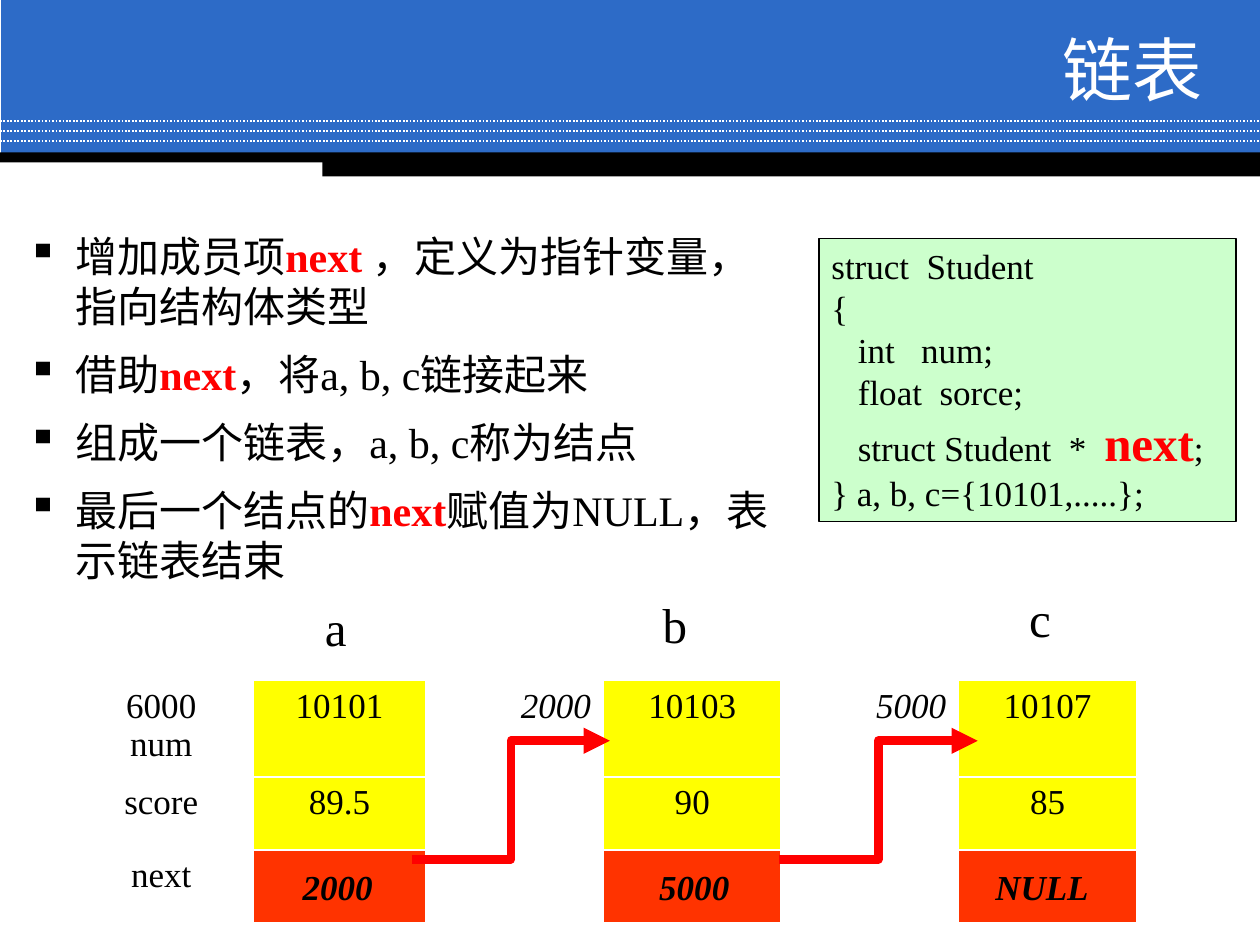
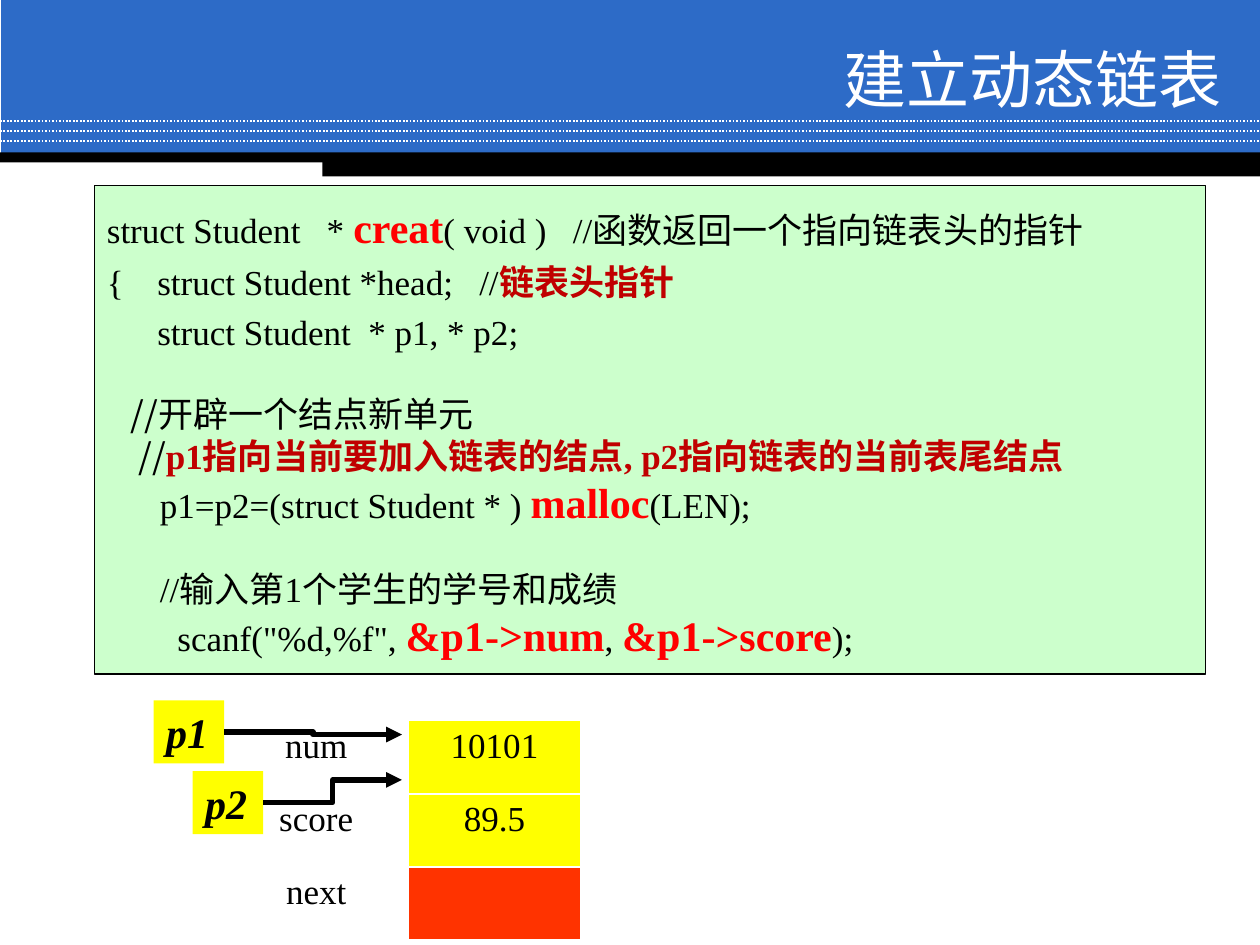
from lxml.etree import SubElement
from pptx import Presentation
from pptx.dml.color import RGBColor
from pptx.enum.dml import MSO_LINE
from pptx.enum.shapes import MSO_CONNECTOR, MSO_SHAPE
from pptx.enum.text import MSO_ANCHOR, PP_ALIGN
from pptx.oxml.ns import qn
from pptx.util import Inches, Pt

COLORS = {
    "band": "2D6BC7", "white": "FFFFFF", "black": "000000", "code": "CCFFCC",
    "red": "FF0000", "dark_red": "C00000", "yellow": "FFFF00", "pointer": "FF3300",
}
RGB = {name: RGBColor.from_string(value) for name, value in COLORS.items()}
SERIF, CJK = "Times New Roman", "Noto Sans CJK SC"
CENTER, RIGHT = PP_ALIGN.CENTER, PP_ALIGN.RIGHT


def add_box(slide, at, fill=None, outline=None):
    """Add a filled rectangle, or a plain text box when there is no fill."""
    place = [Inches(v) for v in at]
    if fill is None:
        box = slide.shapes.add_textbox(*place)
    else:
        box = slide.shapes.add_shape(MSO_SHAPE.RECTANGLE, *place)
        box.shadow.inherit = False
        box.fill.solid()
        box.fill.fore_color.rgb = RGB[fill]
        if outline:
            box.line.color.rgb = RGB[outline]
            box.line.width = Pt(0.75)
        else:
            box.line.fill.background()
    box.text_frame.word_wrap = True
    box.text_frame.vertical_anchor = MSO_ANCHOR.TOP
    return box


def write(frame, paragraphs, size=20, font=SERIF, color="black", bold=False,
          italic=False, align=PP_ALIGN.LEFT):
    """Each paragraph is (runs, options); a run is (text, overrides)."""
    for i, (runs, options) in enumerate(paragraphs):
        para = frame.add_paragraph() if i else frame.paragraphs[0]
        para.alignment = align
        if "before" in options:
            para.space_before = Pt(options["before"])
        if "spacing" in options:
            para.line_spacing = options["spacing"]
        p_pr = para._p.get_or_add_pPr()
        p_pr.set("marL", str(Inches(options.get("left", 0))))
        p_pr.set("indent", str(Inches(options.get("first", 0))))
        if "bullet" in options:
            SubElement(p_pr, qn("a:buChar")).set("char", options["bullet"])
        for text, change in runs:
            run = para.add_run()
            run.text = text
            run.font.size = Pt(change.get("size", size))
            run.font.name = change.get("font", font)
            run.font.bold = change.get("bold", bold)
            run.font.italic = italic
            run.font.color.rgb = RGB[change.get("color", color)]
            SubElement(run._r.get_or_add_rPr(), qn("a:ea")).set("typeface", CJK)


prs = Presentation()
prs.slide_width, prs.slide_height = Inches(10), Inches(7.5)
list_slide, create_slide = [prs.slides.add_slide(prs.slide_layouts[6]) for _ in range(2)]

# Shared header and title
for slide, title, size, left, top in [
    (list_slide, "链表", 40, 2.72, 0.25),
    (create_slide, "建立动态链表", 36, 2.87, 0.33),
]:
    add_box(slide, (0.01, 0, 9.99, 1.23), "band")
    for y in (0.96, 1.04, 1.12):
        rule = slide.shapes.add_connector(
            MSO_CONNECTOR.STRAIGHT, 0, Inches(y), Inches(10), Inches(y))
        rule.line.color.rgb = RGB["white"]
        rule.line.width = Pt(1)
        rule.line.dash_style = MSO_LINE.ROUND_DOT
        SubElement(rule._element.spPr, qn("a:effectLst"))
    add_box(slide, (0, 1.21, 10, 0.08), "black")
    add_box(slide, (2.56, 1.24, 7.44, 0.16), "black")
    heading = add_box(slide, (left, top, 6.92, 0.58)).text_frame
    heading.vertical_anchor = MSO_ANCHOR.MIDDLE
    write(heading, [([(title, {})], {})], size, "Arial", "white", align=RIGHT)

# Code panels
big_red = {"color": "red", "bold": True, "size": 24}
note = {"color": "dark_red", "bold": True}
struct_code = [
    ([("struct  Student", {})], {}),
    ([("{", {})], {}),
    ([("int   num;", {})], {"left": 0.21}),
    ([("float  sorce;", {})], {"left": 0.21}),
    ([("struct Student  *  ", {}), ("next", {**big_red, "size": 28}), (";", {})],
     {"left": 0.21}),
    ([("} a, b, c={10101,.....};", {})], {}),
]
create_code = [
    ([("struct Student   * ", {}), ("creat", big_red),
      ("( void )   //函数返回一个指向链表头的指针", {})], {"spacing": 1.2}),
    ([("{\tstruct Student *head;   //", {}), ("链表头指针", note)],
     {"spacing": 1.2, "left": 0.4, "first": -0.4}),
    ([("struct Student  * p1, * p2;", {})], {"spacing": 1.2, "left": 0.4}),
    ([("//开辟一个结点新单元", {"font": CJK})], {"left": 0.19, "before": 23}),
    ([("//", {"font": CJK}),
      ("p1指向当前要加入链表的结点, p2指向链表的当前表尾结点", note)], {"left": 0.25}),
    ([("p1=p2=(struct Student * ) ", {}), ("malloc", big_red), ("(LEN);", {})],
     {"left": 0.42}),
    ([("//输入第1个学生的学号和成绩", {})], {"left": 0.42, "before": 23}),
    ([('scanf("%d,%f", ', {}), ("&p1->num", big_red), (", ", {}),
      ("&p1->score", big_red), (");", {})], {"left": 0.56}),
]
for slide, at, code in [
    (list_slide, (6.5, 1.89, 3.31, 2.25), struct_code),
    (create_slide, (0.75, 1.47, 8.82, 3.88), create_code),
]:
    write(add_box(slide, at, "code", "black").text_frame, code)

# Explanation of the list
next_word = {"color": "red", "bold": True}
points = [
    [("增加成员项", {}), ("next ", next_word), ("，定义为指针变量，指向结构体类型", {})],
    [("借助", {}), ("next", next_word), ("，将a, b, c链接起来", {})],
    [("组成一个链表，a, b, c称为结点", {})],
    [("最后一个结点的", {}), ("next", next_word), ("赋值为NULL，表示链表结束", {})],
]
explanation = add_box(list_slide, (0.12, 1.78, 6.14, 2.37)).text_frame
write(explanation, [
    (runs, {"left": 0.38, "first": -0.38, "bullet": "▪", "before": 10 if i else 0})
    for i, runs in enumerate(points)], 24)

# Nodes: odd columns hold the members, the last row holds the pointer
for slide, at, widths, heights, rows in [
    (list_slide, (0.55, 5.4, 8.46, 1.87), [1.46, 1.37] + [1.41] * 4, [0.72, 0.58, 0.58],
     [["6000\nnum", "10101", "2000", "10103", "5000", "10107"],
      ["score", "89.5", "", "90", "", "85"],
      ["next", "", "", "", "", ""]]),
    (create_slide, (1.78, 5.72, 2.82, 1.73), [1.46, 1.37], [0.58] * 3,
     [["num", "10101"], ["score", "89.5"], ["next", ""]]),
]:
    nodes = slide.shapes.add_table(
        len(rows), len(widths), *[Inches(v) for v in at]).table
    nodes.first_row = nodes.horz_banding = False
    for column, width in zip(nodes.columns, widths):
        column.width = Inches(width)
    for r, values in enumerate(rows):
        nodes.rows[r].height = Inches(heights[r])
        for c, value in enumerate(values):
            cell = nodes.cell(r, c)
            if c % 2:
                cell.fill.solid()
                cell.fill.fore_color.rgb = RGB["pointer" if r == 2 else "yellow"]
            else:
                cell.fill.background()
            is_address = c in (2, 4)
            if value:
                write(cell.text_frame, [([(t, {})], {}) for t in value.split("\n")],
                      italic=is_address, align=RIGHT if is_address else CENTER)

# Node names and the addresses they point to
for name, left, top, address, address_left in [
    ("a", 2.48, 4.69, "2000", 2.17),
    ("b", 5.16, 4.67, "5000", 5),
    ("c", 8.07, 4.62, "NULL", 7.76),
]:
    write(add_box(list_slide, (left, top, 0.39, 0.57)).text_frame,
          [([(name, {})], {})], 28)
    write(add_box(list_slide, (address_left, 6.82, 1.02, 0.44)).text_frame,
          [([(address, {})], {})], bold=True, italic=True, align=CENTER)

# Pointer variables
pointers = {}
for name, left, top in [("p1", 1.22, 5.56), ("p2", 1.53, 6.12)]:
    pointers[name] = add_box(create_slide, (left, top, 0.56, 0.5), "yellow")
    write(pointers[name].text_frame, [([(name, {})], {})], 24, bold=True, italic=True)

# Arrows along the links
for slide, ends, color, width, source in [
    (list_slide, (3.27, 6.82, 4.84, 5.88), "red", 5, None),
    (list_slide, (6.18, 6.82, 7.76, 5.88), "red", 5, None),
    (create_slide, (1.78, 5.81, 3.19, 5.83), "black", 3, "p1"),
    (create_slide, (2.09, 6.37, 3.19, 6.19), "black", 3, "p2"),
]:
    link = slide.shapes.add_connector(MSO_CONNECTOR.ELBOW, *[Inches(v) for v in ends])
    if source:
        link.begin_connect(pointers[source], 3)
    link.line.color.rgb = RGB[color]
    link.line.width = Pt(width)
    SubElement(link.line._get_or_add_ln(), qn("a:tailEnd")).set("type", "triangle")
    SubElement(link._element.spPr, qn("a:effectLst"))

prs.save("out.pptx")
